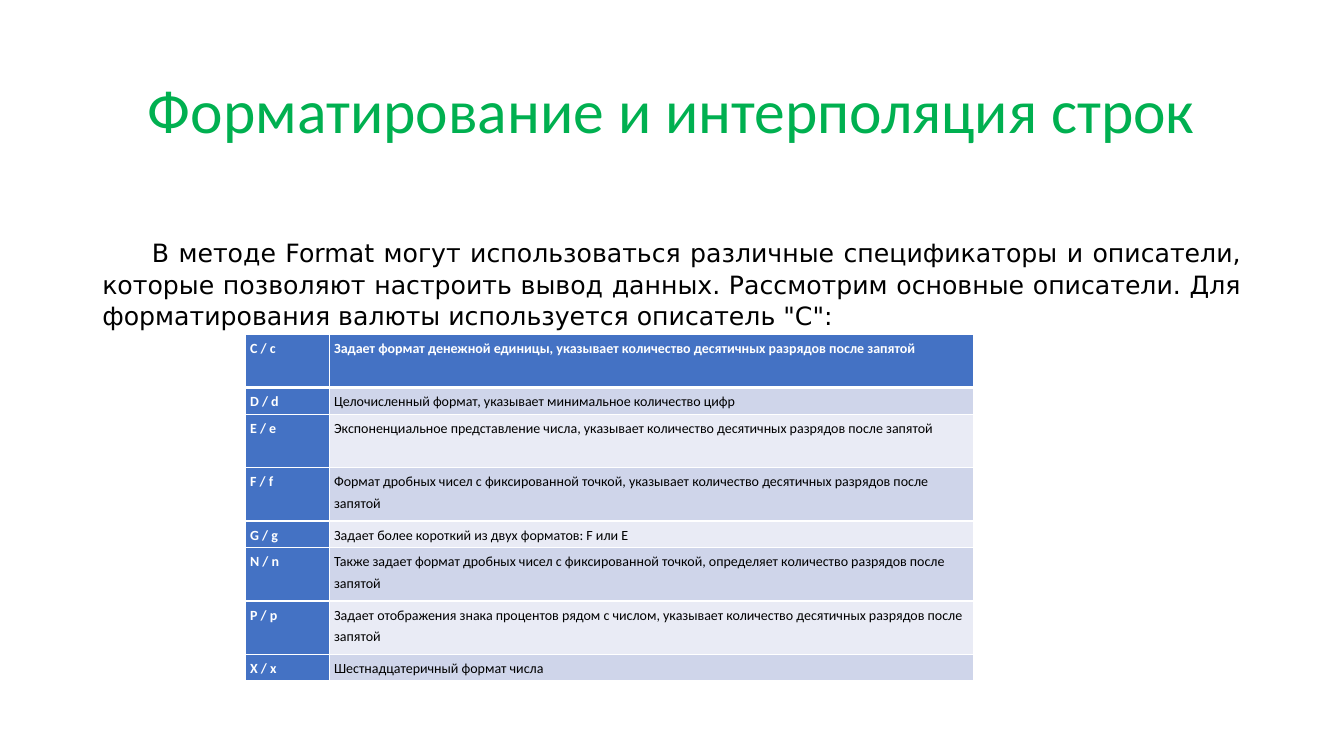
from lxml import etree
from pptx import Presentation
from pptx.dml.color import RGBColor
from pptx.enum.text import MSO_ANCHOR, PP_ALIGN
from pptx.oxml.ns import qn
from pptx.util import Pt

CENTER, JUSTIFY, LEFT = PP_ALIGN.CENTER, PP_ALIGN.JUSTIFY, PP_ALIGN.LEFT
MIDDLE = MSO_ANCHOR.MIDDLE
WHITE, BLACK, GREEN, BLUE = "FFFFFF", "000000", "00B050", "4472C4"
BANDS = ["E9EBF5", "CFD5EA"]
ROW_UNIT = 19.05


def color(hex_code):
    return RGBColor.from_string(hex_code)


def write(frame, text, size, ink, font="Calibri", bold=False, align=LEFT, spacing=1.0):
    frame.word_wrap = True
    paragraph = frame.paragraphs[0]
    paragraph.alignment = align
    paragraph.line_spacing = spacing
    run = paragraph.add_run()
    run.text = text
    run.font.size = Pt(size)
    run.font.name = font
    run.font.bold = bold
    run.font.color.rgb = color(ink)
    return paragraph


deck = Presentation()
deck.slide_width, deck.slide_height = Pt(960), Pt(540)
slide = deck.slides.add_slide(deck.slide_layouts[6])

title = slide.shapes.add_textbox(Pt(66), Pt(28.8), Pt(828), Pt(104.4)).text_frame
title.vertical_anchor = MIDDLE
write(title, "Форматирование и интерполяция строк", 44, GREEN, align=CENTER, spacing=0.9)

intro = slide.shapes.add_textbox(Pt(66), Pt(165.2), Pt(828), Pt(72)).text_frame
intro_paragraph = write(
    intro,
    "В методе Format могут использоваться различные спецификаторы и описатели, "
    "которые позволяют настроить вывод данных. Рассмотрим основные описатели. "
    'Для форматирования валюты используется описатель "C":',
    18, BLACK, font="DejaVu Sans", align=JUSTIFY, spacing=1.04)
intro_paragraph._p.get_or_add_pPr().set("indent", str(Pt(35.4)))

specifiers = [
    ("C / c", "Задает формат денежной единицы, указывает количество десятичных разрядов после запятой", 2),
    ("D / d", "Целочисленный формат, указывает минимальное количество цифр", 1),
    ("E / e", "Экспоненциальное представление числа, указывает количество десятичных разрядов после запятой", 2),
    ("F / f", "Формат дробных чисел с фиксированной точкой, указывает количество десятичных разрядов после запятой", 2),
    ("G / g", "Задает более короткий из двух форматов: F или E", 1),
    ("N / n", "Также задает формат дробных чисел с фиксированной точкой, определяет количество разрядов после запятой", 2),
    ("P / p", "Задает отображения знака процентов рядом с числом, указывает количество десятичных разрядов после запятой", 2),
    ("X / x", "Шестнадцатеричный формат числа", 1),
]
table_height = ROW_UNIT * sum(lines for _, _, lines in specifiers)
table = slide.shapes.add_table(
    len(specifiers), 2, Pt(175.3), Pt(238.8), Pt(520), Pt(table_height)).table
table.columns[0].width, table.columns[1].width = Pt(60), Pt(460)

for row, (code, meaning, lines) in enumerate(specifiers):
    table.rows[row].height = Pt(ROW_UNIT * lines)
    for column, text in enumerate((code, meaning)):
        heading = row == 0 or column == 0
        cell = table.cell(row, column)
        cell.margin_left, cell.margin_right = Pt(3.4), Pt(2.2)
        cell.margin_top = cell.margin_bottom = Pt(0.7)
        write(cell.text_frame, text, 10, WHITE if heading else BLACK,
              bold=heading, spacing=Pt(15.6))
        properties = cell._tc.get_or_add_tcPr()
        for side in ("L", "R", "T", "B"):
            thick = (row, side) in ((0, "B"), (1, "T"))
            border = etree.SubElement(properties, qn(f"a:ln{side}"), w=str(Pt(3 if thick else 1)))
            border_fill = etree.SubElement(border, qn("a:solidFill"))
            etree.SubElement(border_fill, qn("a:srgbClr"), val=WHITE)
        cell.fill.solid()
        cell.fill.fore_color.rgb = color(BLUE if heading else BANDS[row % 2])

deck.save("out.pptx")
